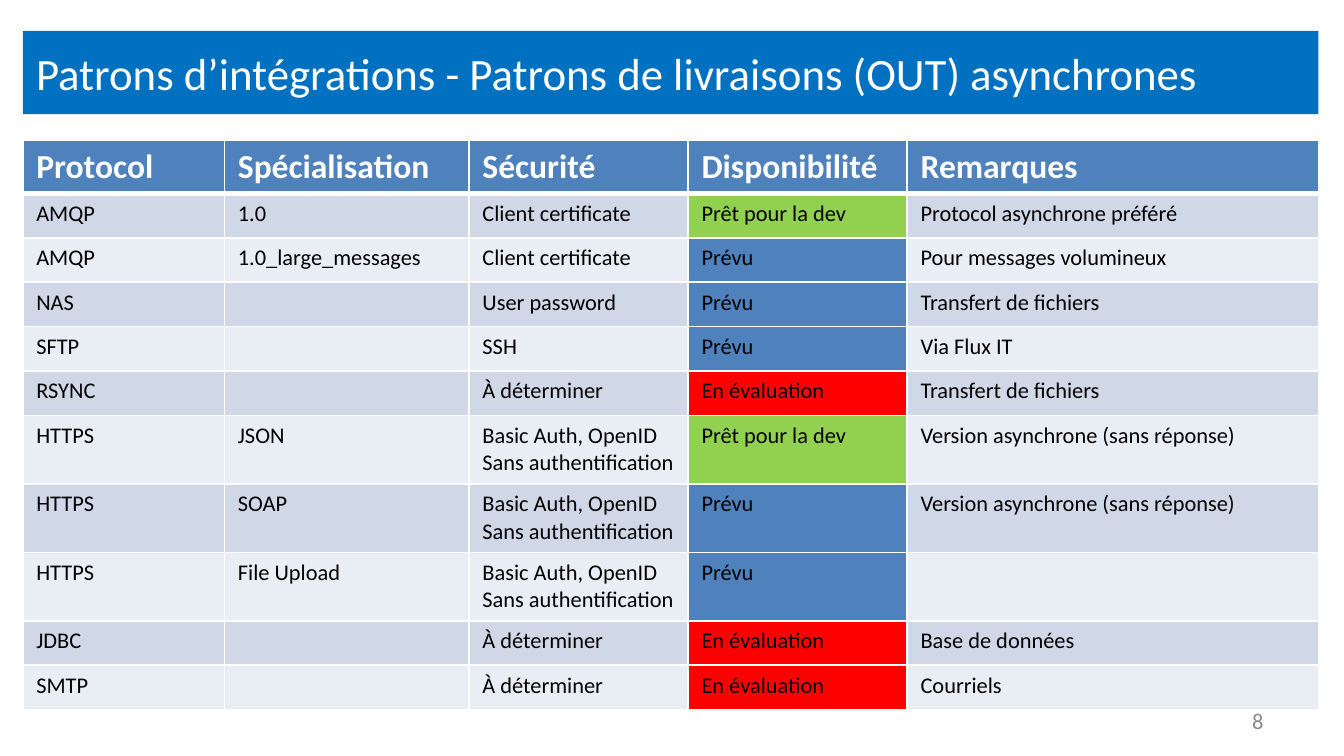
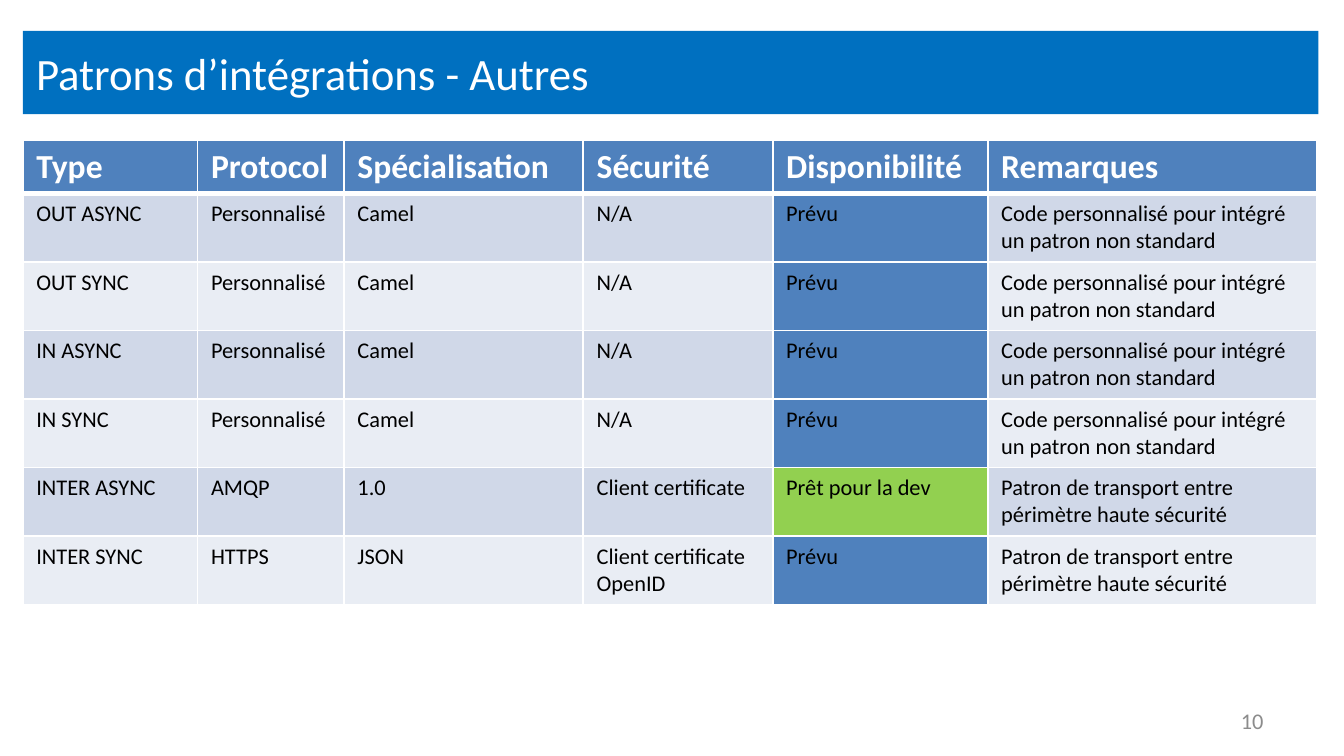
from dataclasses import dataclass

from lxml import etree
from pptx import Presentation
from pptx.dml.color import RGBColor
from pptx.enum.shapes import MSO_SHAPE
from pptx.enum.text import MSO_ANCHOR, PP_ALIGN
from pptx.oxml.ns import qn
from pptx.slide import Slide
from pptx.table import _Cell
from pptx.text.text import TextFrame
from pptx.util import Inches, Pt

RECTANGLE = MSO_SHAPE.RECTANGLE
MIDDLE = MSO_ANCHOR.MIDDLE
LEFT, RIGHT = PP_ALIGN.LEFT, PP_ALIGN.RIGHT

FONT = "Calibri"
COLORS = {
    "title_band": "0070C0",
    "white": "FFFFFF",
    "black": "000000",
    "page_number": "8C8C8C",
    "header": "4F81BD",
    "odd_row": "D0D8E8",
    "even_row": "E9EDF4",
}
READY, PLANNED, EVALUATING = "Prêt pour la dev", "Prévu", "En évaluation"
STATUS_COLORS = {READY: "92D050", PLANNED: "4F81BD", EVALUATING: "FF0000"}

SLIDE_WIDTH = Inches(10)
SLIDE_HEIGHT = SLIDE_WIDTH * 9 // 16
MARGIN_LEFT = Inches(0.17)
CONTENT_WIDTH = Inches(9.64)
HEADER_HEIGHT, ONE_LINE, TWO_LINES = 0.39, 0.33, 0.51
THIN, THICK = 1, 3


@dataclass(frozen=True)
class TextStyle:
    size: int
    color: str
    bold: bool = False
    align: PP_ALIGN = LEFT


TITLE = TextStyle(24, "white")
PAGE_NUMBER = TextStyle(12, "page_number", align=RIGHT)
HEADER = TextStyle(18, "white", bold=True)
BODY = TextStyle(12, "black")


@dataclass(frozen=True)
class PatternPage:
    title: str
    number: int
    column_widths: tuple[float, ...]
    row_heights: tuple[float, ...]
    headings: tuple[str, ...]
    patterns: tuple[tuple[str, ...], ...]


BASIC_AUTH = "Basic Auth, OpenID\nSans authentification"
UNDECIDED = "À déterminer"
NO_REPLY = "Version asynchrone (sans réponse)"
FILE_TRANSFER = "Transfert de fichiers"
CERTIFICATE = "Client certificate"
SECURE_TRANSPORT = "Patron de transport entre périmètre haute sécurité"
CUSTOM = ("Personnalisé", "Camel", "N/A", PLANNED,
          "Code personnalisé pour intégré un patron non standard")
SHARED_HEADINGS = ("Protocol", "Spécialisation", "Sécurité", "Disponibilité", "Remarques")

PAGES = (
    PatternPage(
        title="Patrons d’intégrations - Patrons de livraisons (OUT) asynchrones",
        number=8,
        column_widths=(1.5, 1.82, 1.63, 1.63, 3.06),
        row_heights=(ONE_LINE,) * 5 + (TWO_LINES,) * 3 + (ONE_LINE,) * 2,
        headings=SHARED_HEADINGS,
        patterns=(
            ("AMQP", "1.0", CERTIFICATE, READY, "Protocol asynchrone préféré"),
            ("AMQP", "1.0_large_messages", CERTIFICATE, PLANNED, "Pour messages volumineux"),
            ("NAS", "", "User password", PLANNED, FILE_TRANSFER),
            ("SFTP", "", "SSH", PLANNED, "Via Flux IT"),
            ("RSYNC", "", UNDECIDED, EVALUATING, FILE_TRANSFER),
            ("HTTPS", "JSON", BASIC_AUTH, READY, NO_REPLY),
            ("HTTPS", "SOAP", BASIC_AUTH, PLANNED, NO_REPLY),
            ("HTTPS", "File Upload", BASIC_AUTH, PLANNED, ""),
            ("JDBC", "", UNDECIDED, EVALUATING, "Base de données"),
            ("SMTP", "", UNDECIDED, EVALUATING, "Courriels"),
        ),
    ),
    PatternPage(
        title="Patrons d’intégrations - Autres",
        number=10,
        column_widths=(1.3, 1.09, 1.78, 1.41, 1.6, 2.45),
        row_heights=(TWO_LINES,) * 6,
        headings=("Type",) + SHARED_HEADINGS,
        patterns=(
            ("OUT ASYNC",) + CUSTOM,
            ("OUT SYNC",) + CUSTOM,
            ("IN ASYNC",) + CUSTOM,
            ("IN SYNC",) + CUSTOM,
            ("INTER ASYNC", "AMQP", "1.0", CERTIFICATE, READY, SECURE_TRANSPORT),
            ("INTER SYNC", "HTTPS", "JSON", CERTIFICATE + "\nOpenID", PLANNED, SECURE_TRANSPORT),
        ),
    ),
)


def rgb(hex_color: str) -> RGBColor:
    return RGBColor.from_string(hex_color)


def write(frame: TextFrame, text: str, style: TextStyle) -> None:
    """Write one paragraph per line; an empty text still keeps the line size."""
    for index, line in enumerate(text.split("\n")):
        paragraph = frame.paragraphs[0] if index == 0 else frame.add_paragraph()
        paragraph.alignment = style.align
        if not line:
            etree.SubElement(paragraph._p, qn("a:endParaRPr"), sz=str(style.size * 100))
            continue
        run = paragraph.add_run()
        run.text = line
        run.font.name = FONT
        run.font.size = Pt(style.size)
        run.font.bold = style.bold
        run.font.color.rgb = rgb(COLORS[style.color])


def add_title_band(slide: Slide, title: str) -> None:
    band = slide.shapes.add_shape(
        RECTANGLE, MARGIN_LEFT, Inches(0.23), CONTENT_WIDTH, Inches(0.62))
    band.shadow.inherit = False
    band.fill.solid()
    band.fill.fore_color.rgb = rgb(COLORS["title_band"])
    band.line.fill.background()
    band.text_frame.word_wrap = True
    band.text_frame.vertical_anchor = MIDDLE
    write(band.text_frame, title, TITLE)


def add_page_number(slide: Slide, number: int) -> None:
    footer = slide.shapes.add_textbox(Inches(7.17), Inches(5.21), Inches(2.33), Inches(0.3))
    footer.text_frame.word_wrap = True
    footer.text_frame.vertical_anchor = MIDDLE
    write(footer.text_frame, str(number), PAGE_NUMBER)


def set_borders(cell: _Cell, top: int, bottom: int) -> None:
    """Draw white borders; widths are in points and the sides stay thin."""
    properties = cell._tc.get_or_add_tcPr()
    widths = {"a:lnL": THIN, "a:lnR": THIN, "a:lnT": top, "a:lnB": bottom}
    for position, (side, width) in enumerate(widths.items()):
        border = etree.Element(qn(side), w=str(Pt(width)))
        fill = etree.SubElement(border, qn("a:solidFill"))
        etree.SubElement(fill, qn("a:srgbClr"), val=COLORS["white"])
        properties.insert(position, border)


def fill_cell(cell: _Cell, text: str, row: int) -> None:
    is_header = row == 0
    if is_header:
        background = COLORS["header"]
    else:
        stripe = COLORS["odd_row" if row % 2 else "even_row"]
        background = STATUS_COLORS.get(text, stripe)
    write(cell.text_frame, text, HEADER if is_header else BODY)
    cell.fill.solid()
    cell.fill.fore_color.rgb = rgb(background)
    set_borders(cell, top=THICK if row == 1 else THIN, bottom=THICK if is_header else THIN)


def add_pattern_table(slide: Slide, page: PatternPage) -> None:
    rows = (page.headings,) + page.patterns
    heights = (HEADER_HEIGHT,) + page.row_heights
    table = slide.shapes.add_table(
        len(rows), len(page.headings), MARGIN_LEFT, Inches(1.04),
        CONTENT_WIDTH, Inches(sum(heights))).table
    for column, width in zip(table.columns, page.column_widths):
        column.width = Inches(width)
    for row, (texts, height) in enumerate(zip(rows, heights)):
        table.rows[row].height = Inches(height)
        for column, text in enumerate(texts):
            fill_cell(table.cell(row, column), text, row)


def main() -> None:
    presentation = Presentation()
    presentation.slide_width = SLIDE_WIDTH
    presentation.slide_height = SLIDE_HEIGHT
    blank_layout = presentation.slide_layouts[6]
    for page in PAGES:
        slide = presentation.slides.add_slide(blank_layout)
        add_page_number(slide, page.number)
        add_title_band(slide, page.title)
        add_pattern_table(slide, page)
    presentation.save("out.pptx")


if __name__ == "__main__":
    main()
